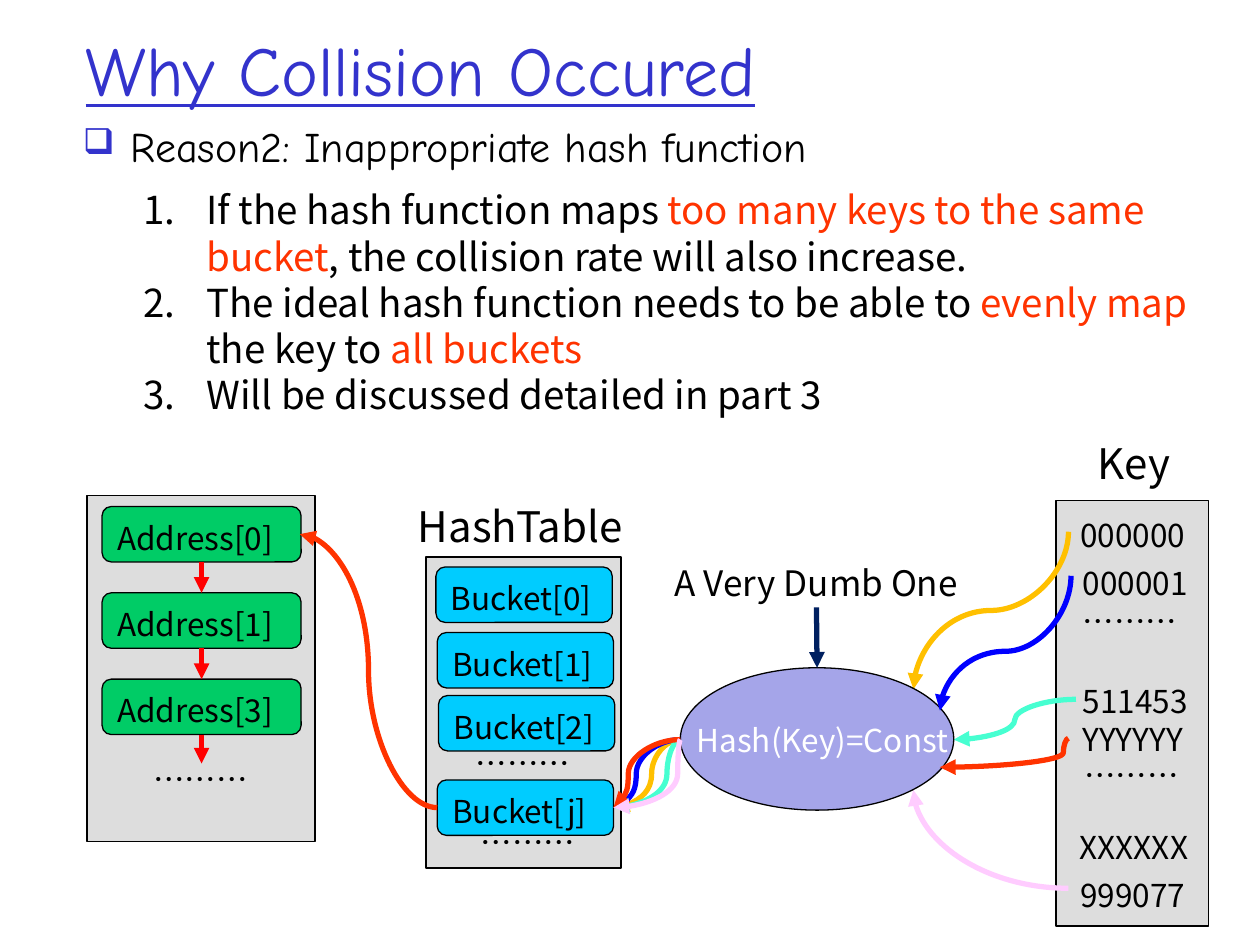
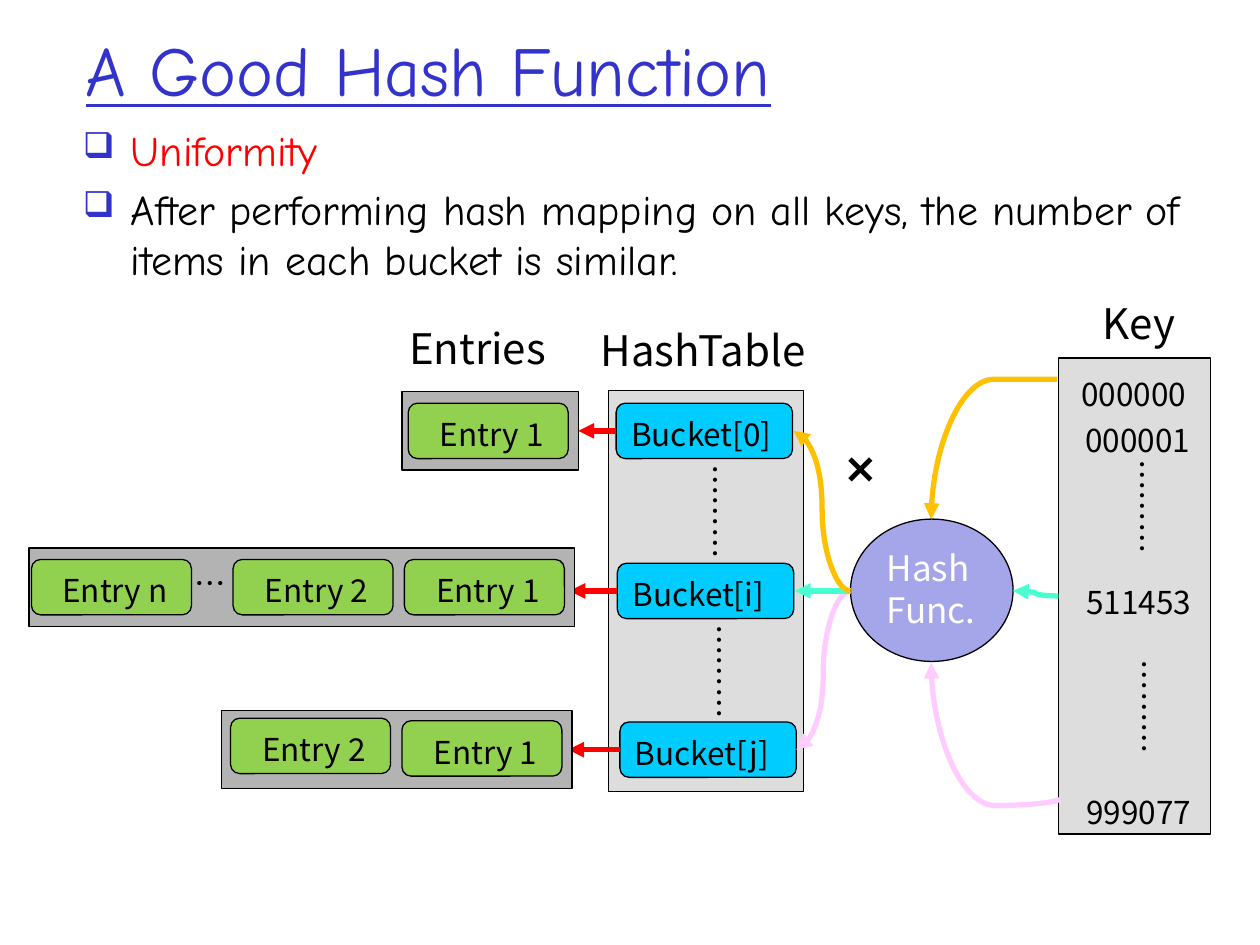
import pptx
import pptx.util
import pptx.dml.color
import pptx.enum.shapes
import pptx.enum.text
import pptx.oxml.ns
from lxml import etree

Inches = pptx.util.Inches
Pt = pptx.util.Pt
RGBColor = pptx.dml.color.RGBColor
SHAPE = pptx.enum.shapes.MSO_SHAPE
CONNECTOR = pptx.enum.shapes.MSO_CONNECTOR
ALIGN = pptx.enum.text.PP_ALIGN
ANCHOR = pptx.enum.text.MSO_ANCHOR
qn = pptx.oxml.ns.qn

BLACK = RGBColor(0x00, 0x00, 0x00)
WHITE = RGBColor(0xFF, 0xFF, 0xFF)
INDIGO = RGBColor(0x33, 0x33, 0xCC)
ORANGE_RED = RGBColor(0xFF, 0x33, 0x00)
RED = RGBColor(0xFF, 0x00, 0x00)
BLUE = RGBColor(0x00, 0x00, 0xFF)
NAVY = RGBColor(0x00, 0x20, 0x60)
AMBER = RGBColor(0xFF, 0xC0, 0x00)
PINK = RGBColor(0xFF, 0xCC, 0xFF)
MINT = RGBColor(0x47, 0xFF, 0xD1)
LIGHT_GRAY = RGBColor(0xDD, 0xDD, 0xDD)
MID_GRAY = RGBColor(0xB3, 0xB3, 0xB3)
CYAN = RGBColor(0x00, 0xCC, 0xFF)
GREEN = RGBColor(0x00, 0xCC, 0x66)
LIME = RGBColor(0x92, 0xD0, 0x50)
LAVENDER = RGBColor(0xA5, 0xA5, 0xE9)

TITLE_FONT = "Comic Neue"
BODY_FONT = "Noto Sans CJK JP"
DOTS = "………"
LABEL_WIDTH = 2.26
CHIP_HEIGHT = 0.44
BUCKET_WIDTH = 1.4
ADDRESS_WIDTH = 1.58
ENTRY_WIDTH = 1.27
TRAY_HEIGHT = 0.62


def style_span(span, size, color, font=BODY_FONT):
    span.font.size = Pt(size)
    span.font.name = font
    span.font.color.rgb = color
    properties = span._r.get_or_add_rPr()
    for tag in ("a:ea", "a:sym"):
        etree.SubElement(properties, qn(tag), typeface=font)


def write(frame, text, size, color=BLACK, align=ALIGN.LEFT, font=BODY_FONT, leading=1.3):
    frame.word_wrap = True
    frame.vertical_anchor = ANCHOR.TOP
    frame.text = text
    para = frame.paragraphs[0]
    para.alignment = align
    para.line_spacing = Pt(size * leading)
    style_span(para.runs[0], size, color, font)


def add_text_box(page, left, top, width, height):
    box = page.shapes.add_textbox(Inches(left), Inches(top), Inches(width), Inches(height))
    box.text_frame.word_wrap = True
    return box


def add_label(page, text, center, top, size=18, rotation=0, width=LABEL_WIDTH):
    box = add_text_box(page, center - width / 2, top, width, 0.5 if size > 20 else 0.4)
    box.rotation = rotation
    write(box.text_frame, text, size, align=ALIGN.CENTER)


def add_block(page, kind, left, top, width, height, fill):
    block = page.shapes.add_shape(kind, Inches(left), Inches(top), Inches(width), Inches(height))
    block.shadow.inherit = False
    block.fill.solid()
    block.fill.fore_color.rgb = fill
    block.line.color.rgb = BLACK
    block.line.width = Pt(0.75)
    return block


def add_chip(page, text, left, top, width, fill, align=ALIGN.LEFT):
    chip = add_block(page, SHAPE.ROUNDED_RECTANGLE, left, top, width, CHIP_HEIGHT, fill)
    write(chip.text_frame, text, 18, align=align)
    return chip


def style_arrow(arrow, color):
    arrow.line.color.rgb = color
    arrow.line.width = Pt(3)
    line = arrow.line._get_or_add_ln()
    etree.SubElement(line, qn("a:tailEnd"), type="triangle")
    etree.SubElement(arrow._element.spPr, qn("a:effectLst"))


def add_arrow(page, start, end, color, begin_at=None, end_at=None):
    arrow = page.shapes.add_connector(CONNECTOR.STRAIGHT, *map(Inches, start + end))
    if begin_at:
        arrow.begin_connect(*begin_at)
    if end_at:
        arrow.end_connect(*end_at)
    style_arrow(arrow, color)


def add_curve(page, start, end, color, bend=0.5, upright=False, quarter=False):
    (x1, y1), (x2, y2) = start, end
    rising = y2 < y1
    if upright:
        center_x, center_y = (x1 + x2) / 2, (y1 + y2) / 2
        half_width, half_height = abs(y2 - y1) / 2, abs(x2 - x1) / 2
        x1, x2 = center_x - half_width, center_x + half_width
        y1, y2 = center_y - half_height, center_y + half_height
        if rising:
            y1, y2 = y2, y1
    curve = page.shapes.add_connector(CONNECTOR.CURVE, *map(Inches, (x1, y1, x2, y2)))
    properties = curve._element.spPr
    if upright:
        properties.find(qn("a:xfrm")).set("rot", str((270 if rising else 90) * 60000))
    geometry = properties.find(qn("a:prstGeom"))
    if quarter:
        geometry.set("prst", "curvedConnector2")
    else:
        guides = geometry.find(qn("a:avLst"))
        if guides is None:
            guides = etree.SubElement(geometry, qn("a:avLst"))
        etree.SubElement(guides, qn("a:gd"), name="adj1", fmla=f"val {round(bend * 100000)}")
    style_arrow(curve, color)


def set_bullet(para, indent, mark=None):
    properties = para._p.get_or_add_pPr()
    properties.set("marL", str(Inches(indent)))
    properties.set("indent", str(-Inches(indent)))
    if mark:
        tint = etree.SubElement(properties, qn("a:buClr"))
        etree.SubElement(tint, qn("a:srgbClr"), val=str(INDIGO))
        etree.SubElement(properties, qn("a:buSzPct"), val="85000")
        etree.SubElement(properties, qn("a:buChar"), char=mark)
    else:
        etree.SubElement(properties, qn("a:buFont"), typeface=BODY_FONT)
        etree.SubElement(properties, qn("a:buAutoNum"), type="arabicPeriod")


def add_list(page, left, top, width, height, items, size, font, indent, mark=None):
    frame = add_text_box(page, left, top, width, height).text_frame
    for index, item in enumerate(items):
        para = frame.add_paragraph() if index else frame.paragraphs[0]
        para.line_spacing = Pt(size * 1.2)
        para.space_before = Pt(size * 0.2 if mark else 0)
        set_bullet(para, indent, mark)
        for text, color in item:
            span = para.add_run()
            span.text = text
            style_span(span, size, color, font)


def add_page(deck, title, top, height, points):
    page = deck.slides.add_slide(deck.slide_layouts[5])
    box = page.shapes.title
    box.left, box.top, box.width, box.height = map(Inches, (0.58, 0.25, 8.5, 0.59))
    frame = box.text_frame
    write(frame, title, 40, INDIGO, font=TITLE_FONT, leading=1.2)
    frame.auto_size = pptx.enum.text.MSO_AUTO_SIZE.NONE
    frame.vertical_anchor = ANCHOR.MIDDLE
    frame.paragraphs[0].runs[0].font.underline = True
    add_list(page, 0.56, top, 9.4, height, points, 24, TITLE_FONT, 0.38, "❑")
    return page


def add_panel(page, left, top, width, height, heading=None, chips=(), chip_width=0,
              chip_fill=None, notes=()):
    add_block(page, SHAPE.RECTANGLE, left, top, width, height, LIGHT_GRAY)
    if heading:
        text, across, down = heading
        add_label(page, text, left + across, top + down, 24)
    blocks = [add_chip(page, text, left + across, top + down, chip_width, chip_fill)
              for text, across, down in chips]
    for text, across, down, *rotation in notes:
        add_label(page, text, left + across, top + down, 18, *rotation)
    return blocks


def add_addresses(page, left, top):
    names = ("Address[0]", "Address[1]", "Address[3]")
    chips = [(name, 0.12, 0.09 + 0.685 * row) for row, name in enumerate(names)]
    blocks = add_panel(page, left, top, 1.81, 2.75, None, chips, ADDRESS_WIDTH, GREEN,
                       [(DOTS, 0.9, 2.03)])
    for upper, lower in zip(blocks, blocks[1:]):
        add_arrow(page, (0, 0), (0, 0), RED, (upper, 2), (lower, 0))
    add_arrow(page, (left + 0.91, top + 1.89), (left + 0.91, top + 2.13), RED, (blocks[-1], 2))


def add_constant_hash(page, left, top):
    bubble = add_block(page, SHAPE.OVAL, left, top, 2.17, 1.13, LAVENDER)
    box = add_text_box(page, left + 0.03, top + 0.35, 2.38, 0.4)
    write(box.text_frame, "Hash(Key)=Const", 18, WHITE)
    center = left + 1.08
    add_label(page, "A Very Dumb One", center, top - 0.92, 20, width=3.07)
    add_arrow(page, (center, top - 0.48), (center, top), NAVY, end_at=(bubble, 0))


def add_tray(page, left, top, width, entries):
    tray = add_block(page, SHAPE.RECTANGLE, left, top, width, TRAY_HEIGHT, MID_GRAY)
    for text, across, down in entries:
        add_chip(page, text, left + across, top + down, ENTRY_WIDTH, LIME, ALIGN.CENTER)
    return tray


def build_collision_page(deck):
    page = add_page(deck, "Why Collision Occured", 0.91, 0.59,
                    [[("Reason2: Inappropriate hash function", BLACK)]])
    reasons = [
        [("If the hash function maps ", BLACK),
         ("too many keys to the same bucket", ORANGE_RED),
         (", the collision rate will also increase.", BLACK)],
        [("The ideal hash function needs to be able to ", BLACK),
         ("evenly map ", ORANGE_RED), ("the key to ", BLACK), ("all buckets", ORANGE_RED)],
        [("Will be discussed detailed in part 3", BLACK)],
    ]
    add_list(page, 1.04, 1.43, 8.5, 1.95, reasons, 22, BODY_FONT, 0.5)
    add_panel(page, 3.38, 4.42, 1.55, 2.47, ("HashTable", 0.75, -0.53),
              [("Bucket[0]", 0.08, 0.08), ("Bucket[1]", 0.09, 0.6),
               ("Bucket[2]", 0.1, 1.1), ("Bucket[j]", 0.09, 1.77)],
              BUCKET_WIDTH, CYAN, [(DOTS, 0.77, 1.41), (DOTS, 0.81, 2.04)])
    add_panel(page, 8.38, 3.97, 1.21, 3.38, ("Key", 0.62, -0.58),
              notes=[("000000", 0.61, 0.05), ("000001", 0.63, 0.43), (DOTS, 0.59, 0.73),
                     ("511453", 0.63, 1.37), ("YYYYYY", 0.61, 1.67), (DOTS, 0.6, 1.96),
                     ("XXXXXX", 0.62, 2.53), ("999077", 0.61, 2.91)])
    add_addresses(page, 0.69, 3.93)
    add_curve(page, (8.48, 4.22), (7.25, 5.47), AMBER, upright=True)
    add_curve(page, (8.48, 7.05), (7.25, 6.27), PINK, quarter=True)
    add_curve(page, (8.54, 5.55), (7.57, 5.87), MINT)
    add_constant_hash(page, 5.4, 5.3)
    add_curve(page, (8.5, 4.57), (7.46, 5.64), BLUE, 0.56, upright=True)
    add_curve(page, (8.48, 5.86), (7.46, 6.09), ORANGE_RED, 0.04)
    add_curve(page, (3.47, 6.41), (2.38, 4.24), ORANGE_RED)
    for color, bend in ((AMBER, 0.43), (BLUE, 0.66), (MINT, 0.2), (ORANGE_RED, 0.78), (PINK, 0.04)):
        add_curve(page, (5.4, 5.87), (4.87, 6.41), color, bend)


def build_uniformity_page(deck):
    page = add_page(deck, "A Good Hash Function", 0.94, 1.49, [
        [("Uniformity", RED)],
        [("After performing hash mapping on all keys, the number of items in each bucket "
          "is similar.", BLACK)],
    ])
    buckets = add_panel(page, 4.83, 3.1, 1.55, 3.18, ("HashTable", 0.75, -0.61),
                        [("Bucket[0]", 0.06, 0.1), ("Bucket[i]", 0.07, 1.37),
                         ("Bucket[j]", 0.09, 2.63)],
                        BUCKET_WIDTH, CYAN, [(DOTS, 0.88, 0.76, 90), (DOTS, 0.91, 2.03, 90)])
    add_panel(page, 8.4, 2.84, 1.21, 3.78, ("Key", 0.64, -0.56),
              notes=[("000000", 0.6, 0.06), ("000001", 0.63, 0.43), (DOTS, 0.7, 0.98, 90),
                     ("511453", 0.64, 1.71), (DOTS, 0.71, 2.57, 90), ("999077", 0.64, 3.38)])
    add_label(page, "Entries", 3.79, 2.48, 24)

    first_tray = add_tray(page, 3.19, 3.11, 1.4, [(" Entry 1", 0.05, 0.09)])
    tips = ((4.59, 3.42), (4.52, 4.69), (4.51, 5.95))
    for bucket, tip, end_at in zip(buckets, tips, ((first_tray, 3), None, None)):
        add_arrow(page, tip, tip, RED, (bucket, 1), end_at)
    add_tray(page, 0.23, 4.35, 4.33,
             [(" Entry 1", 2.98, 0.09), (" Entry 2", 1.62, 0.09), (" Entry n", 0.02, 0.09)])
    add_label(page, "…", 1.67, 4.4)
    add_tray(page, 1.76, 5.64, 2.78, [(" Entry 1", 1.43, 0.08), (" Entry 2", 0.07, 0.06)])

    bubble = add_block(page, SHAPE.OVAL, 6.75, 4.12, 1.29, 1.13, LAVENDER)
    write(bubble.text_frame, "Hash Func.", 20, WHITE, leading=1.2)
    add_curve(page, (8.39, 3.01), (7.39, 4.12), AMBER, 0, upright=True)
    add_curve(page, (8.41, 6.34), (7.39, 5.26), PINK, -0.05, upright=True)
    add_curve(page, (8.4, 4.73), (8.04, 4.69), MINT)
    for end, color in (((6.32, 5.95), PINK), ((6.31, 4.69), MINT), ((6.3, 3.42), AMBER)):
        add_curve(page, (6.75, 4.69), end, color)
    cross = add_text_box(page, 6.62, 3.46, 0.64, 0.91)
    write(cross.text_frame, "❌", 24, font="Times New Roman", leading=1.2)


def main():
    deck = pptx.Presentation()
    deck.slide_width, deck.slide_height = Inches(10), Inches(7.5)
    build_collision_page(deck)
    build_uniformity_page(deck)
    deck.save("out.pptx")


if __name__ == "__main__":
    main()
